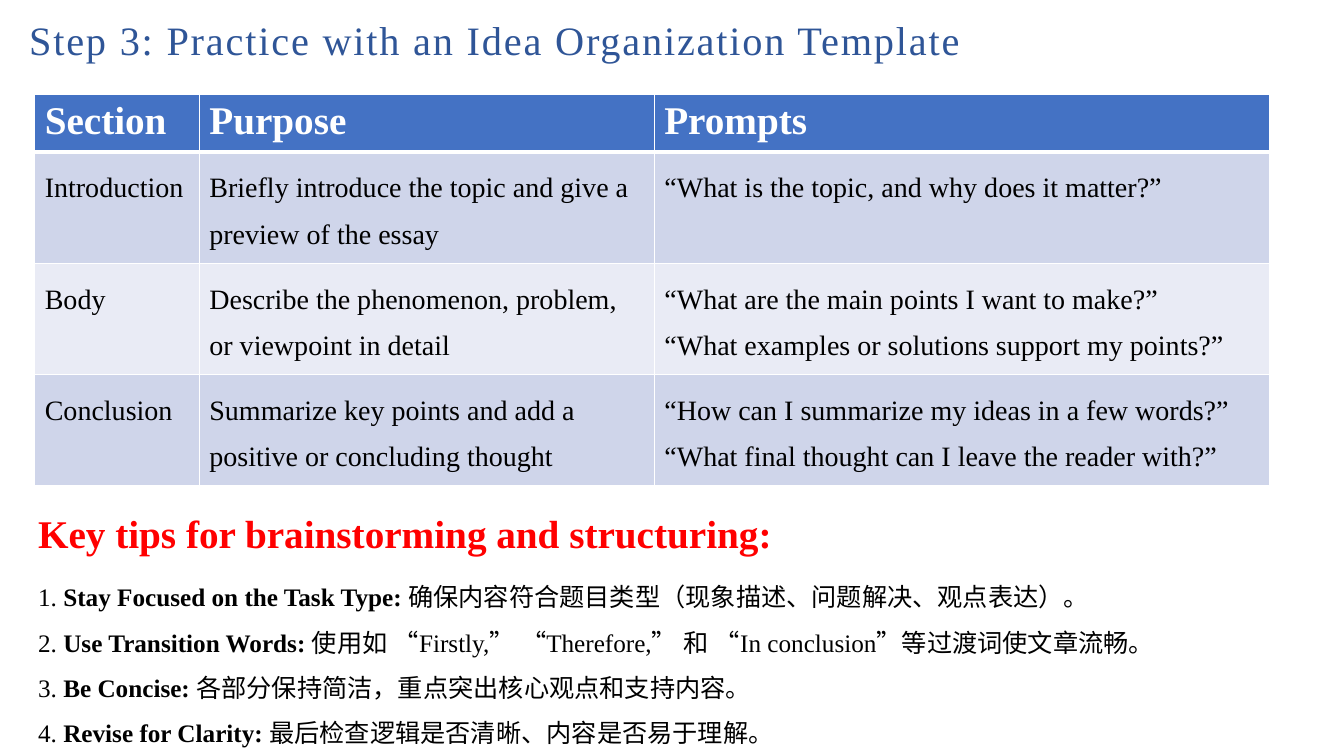
from itertools import groupby

from lxml import etree
from pptx import Presentation
from pptx.dml.color import RGBColor
from pptx.enum.text import MSO_ANCHOR, PP_ALIGN
from pptx.oxml.ns import qn
from pptx.util import Inches, Pt

LEFT = PP_ALIGN.LEFT
TOP, MIDDLE = MSO_ANCHOR.TOP, MSO_ANCHOR.MIDDLE
SERIF, HAN = "Times New Roman", "Noto Sans CJK SC"
COLORS = {
    "title": "2F5597", "header": "4472C4", "odd": "CFD5EA", "even": "E9EBF5",
    "tips": "FF0000", "white": "FFFFFF", "black": "000000",
}

SECTIONS = [
    ["Section", "Purpose", "Prompts"],
    ["Introduction",
     "Briefly introduce the topic and give a preview of the essay",
     "“What is the topic, and why does it matter?”"],
    ["Body",
     "Describe the phenomenon, problem, or viewpoint in detail",
     "“What are the main points I want to make?”\n"
     "“What examples or solutions support my points?”"],
    ["Conclusion",
     "Summarize key points and add a positive or concluding thought",
     "“How can I summarize my ideas in a few words?”\n"
     "“What final thought can I leave the reader with?”"],
]
TIPS = [
    ("Stay Focused on the Task Type: ", "确保内容符合题目类型（现象描述、问题解决、观点表达）。"),
    ("Use Transition Words: ", "使用如 “Firstly,” “Therefore,” 和 “In conclusion”等过渡词使文章流畅。"),
    ("Be Concise: ", "各部分保持简洁，重点突出核心观点和支持内容。"),
    ("Revise for Clarity: ", "最后检查逻辑是否清晰、内容是否易于理解。"),
]


def write(paragraph, text, font=SERIF, size=18, color="black", bold=False,
          spacing=None, tracking=None):
    """Append one run to a paragraph; tracking is in hundredths of a point."""
    paragraph.alignment = LEFT
    if spacing:
        paragraph.line_spacing = spacing
    run = paragraph.add_run()
    run.text = text
    run.font.size, run.font.bold, run.font.name = Pt(size), bold, font
    run.font.color.rgb = RGBColor.from_string(COLORS[color])
    properties = run.font._element
    properties.set("lang", "zh-CN" if font == HAN else "en-US")
    if tracking:
        properties.set("spc", str(tracking))
    etree.SubElement(properties, qn("a:ea"), typeface=font)


def write_mixed(paragraph, text, **style):
    """Set ASCII stretches in the serif font and all others in the Han font."""
    for is_ascii, letters in groupby(text, str.isascii):
        write(paragraph, "".join(letters), font=SERIF if is_ascii else HAN, **style)


def add_border(cell, side, width):
    line = etree.SubElement(cell._tc.get_or_add_tcPr(), qn(f"a:ln{side}"),
                            w=str(Pt(width)))
    fill = etree.SubElement(line, qn("a:solidFill"))
    etree.SubElement(fill, qn("a:srgbClr"), val=COLORS["white"])


class LessonSlide:
    """One slide measured on a grid of 100 columns by 100 rows."""

    def __init__(self, deck):
        self.slide = deck.slides.add_slide(deck.slide_layouts[6])
        self.column = deck.slide_width / 100
        self.row = deck.slide_height / 100

    def place(self, left, top, width, height):
        return (round(left * self.column), round(top * self.row),
                round(width * self.column), round(height * self.row))

    def text_box(self, area, anchor=TOP):
        frame = self.slide.shapes.add_textbox(*self.place(*area)).text_frame
        frame.word_wrap = True
        frame.vertical_anchor = anchor
        return frame

    def heading(self, text, area, anchor=TOP, **style):
        write(self.text_box(area, anchor).paragraphs[0], text, **style)

    def tip_list(self, tips, area):
        frame = self.text_box(area)
        for number, (label, advice) in enumerate(tips, 1):
            tip = frame.paragraphs[0] if number == 1 else frame.add_paragraph()
            write(tip, f"{number}. ", spacing=1.5)
            write(tip, label, bold=True)
            write_mixed(tip, advice)

    def table(self, rows, left, top, widths, heights):
        area = self.place(left, top, sum(widths), sum(heights))
        grid = self.slide.shapes.add_table(len(rows), len(widths), *area).table
        for column, width in zip(grid.columns, widths):
            column.width = round(width * self.column)
        for r, (texts, height) in enumerate(zip(rows, heights)):
            grid.rows[r].height = round(height * self.row)
            for c, text in enumerate(texts):
                self.cell(grid.cell(r, c), text, r)

    def cell(self, cell, text, r):
        for side in "LRTB":
            below_header = (r, side) in ((0, "B"), (1, "T"))
            add_border(cell, side, 3 if below_header else 1)
        shade = "header" if r == 0 else "odd" if r % 2 else "even"
        cell.fill.solid()
        cell.fill.fore_color.rgb = RGBColor.from_string(COLORS[shade])
        style = (dict(size=28, color="white", bold=True) if r == 0
                 else dict(size=20, spacing=1.5))
        frame = cell.text_frame
        for i, sentence in enumerate(text.split("\n")):
            paragraph = frame.add_paragraph() if i else frame.paragraphs[0]
            write(paragraph, sentence, **style)


def main():
    deck = Presentation()
    deck.slide_width, deck.slide_height = Inches(13.33), Inches(7.5)
    lesson = LessonSlide(deck)
    lesson.heading("Step 3: Practice with an Idea Organization Template",
                   (1.43, 2.4, 89, 6.4), MIDDLE, size=28.8, color="title",
                   spacing=0.9, tracking=130)
    lesson.table(SECTIONS, 2.58, 12.55, [12.25, 33.85, 45.8],
                 [7.6] + [14.7] * 3)
    lesson.heading("Key tips for brainstorming and structuring:",
                   (2.1, 66.67, 61.4, 7.6), size=28, color="tips", bold=True)
    lesson.tip_list(TIPS, (2.1, 74.27, 89, 25.6))
    deck.save("out.pptx")


if __name__ == "__main__":
    main()
